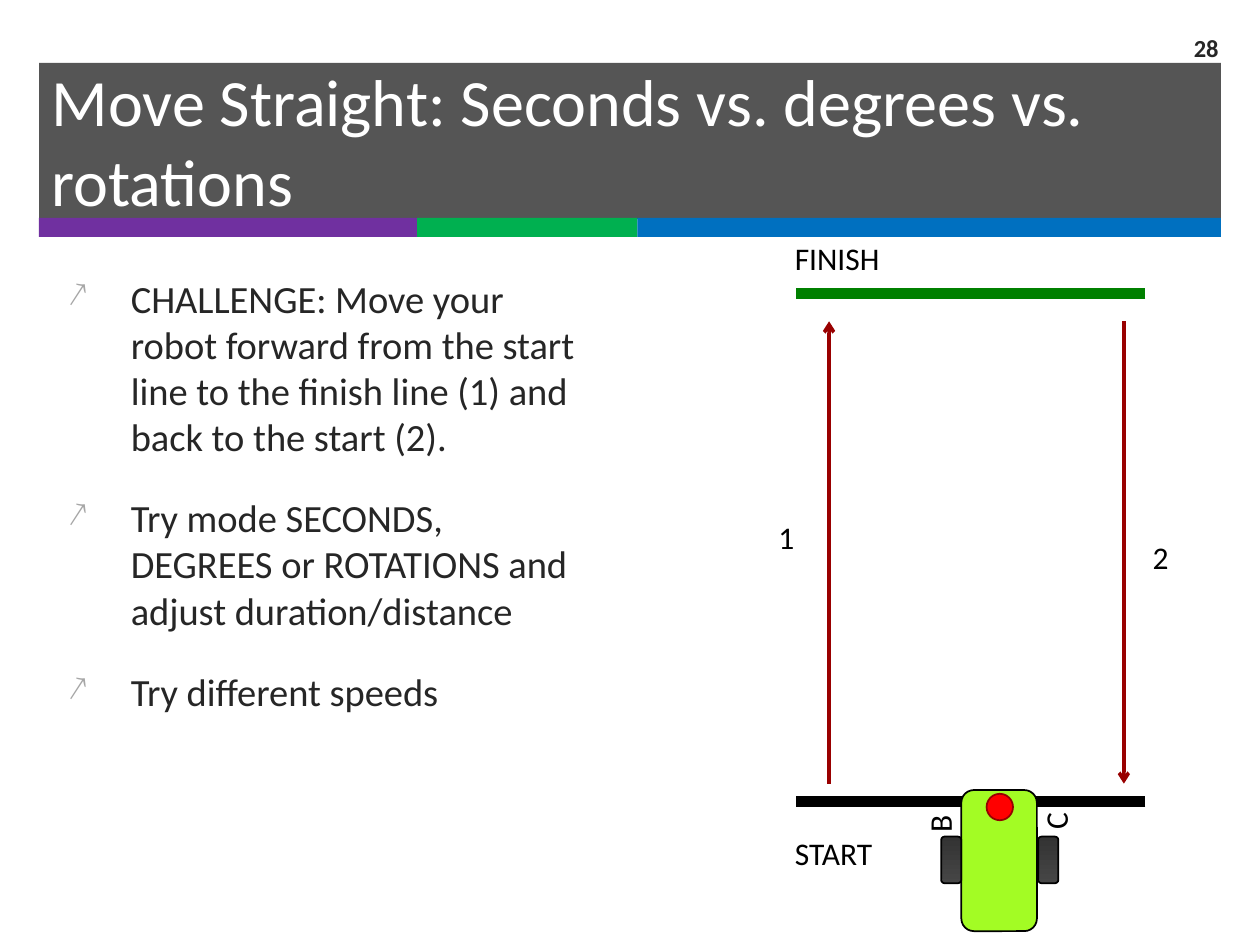
from dataclasses import dataclass

from lxml.etree import SubElement
from pptx import Presentation
from pptx.dml.color import RGBColor
from pptx.enum.shapes import MSO_CONNECTOR, MSO_SHAPE
from pptx.enum.text import MSO_ANCHOR, MSO_AUTO_SIZE, PP_ALIGN
from pptx.oxml.ns import qn
from pptx.util import Inches, Pt


@dataclass(frozen=True)
class Theme:
    """Colours, font and type sizes of the slide."""
    font: str = "Calibri"
    head: float = 37.8
    body: float = 22
    label: float = 18
    small: float = 14
    white: str = "FFFFFF"
    black: str = "000000"
    ink: str = "262626"
    mark: str = "A6A6A6"
    band: str = "0D0D0D"
    purple: str = "7030A0"
    green: str = "00B050"
    blue: str = "0070C0"
    goal: str = "008000"
    route: str = "990000"
    robot: str = "A3FC24"
    red: str = "FF0000"
    rim: str = "960000"
    tyre: tuple = ("464646", "333333")


def rgb(code):
    """Turn a hex code into a colour."""
    return RGBColor.from_string(code)


def write(par, text, font="Calibri", size=18, color="000000", bold=False,
          align=PP_ALIGN.LEFT, before=0):
    """Set the text of a paragraph and its format."""
    par.text = text
    par.alignment = align
    par.space_before = Pt(before)
    par.font.name = font
    par.font.size = Pt(size)
    par.font.bold = bold
    par.font.color.rgb = rgb(color)


class Deck:
    """Holds the theme and the current slide."""

    def __init__(self, slide, theme):
        """Keep the slide and its style."""
        self.slide = slide
        self.theme = theme

    def title(self, text, box):
        """Place the title above all that is drawn so far."""
        shape = self.slide.shapes.title
        shape.left, shape.top, shape.width, shape.height = map(Inches, box)
        shape.element.getparent().append(shape.element)
        frame = shape.text_frame
        frame.word_wrap = True
        frame.auto_size = MSO_AUTO_SIZE.NONE
        frame.vertical_anchor = MSO_ANCHOR.MIDDLE
        write(frame.paragraphs[0], text, font=self.theme.font,
              size=self.theme.head, color=self.theme.white)

    def shape(self, kind, box, fill, line=None, alpha=None):
        """Draw a preset shape; a pair of fills makes a gradient."""
        shape = self.slide.shapes.add_shape(kind, *map(Inches, box))
        shape.shadow.inherit = False
        if isinstance(fill, tuple):
            shape.fill.gradient()
            shape.fill.gradient_angle = 90
            for stop, code in zip(shape.fill.gradient_stops, fill):
                stop.color.rgb = rgb(code)
        else:
            shape.fill.solid()
            shape.fill.fore_color.rgb = rgb(fill)
        if alpha:
            tone = shape.element.spPr.find(".//" + qn("a:srgbClr"))
            SubElement(tone, qn("a:alpha"), val=str(alpha * 1000))
        if line:
            shape.line.color.rgb = rgb(line)
            shape.line.width = Pt(1)
        else:
            shape.line.fill.background()

    def line(self, start, end, color, width, arrow=False):
        """Draw a straight line, with an arrowhead if asked."""
        line = self.slide.shapes.add_connector(
            MSO_CONNECTOR.STRAIGHT, *map(Inches, start + end))
        line.line.color.rgb = rgb(color)
        line.line.width = Pt(width)
        if arrow:
            SubElement(line.line._get_or_add_ln(), qn("a:tailEnd"), type="arrow")
        SubElement(line.element.spPr, qn("a:effectLst"))

    def text(self, text, box, turn=0, anchor=MSO_ANCHOR.TOP, **style):
        """Add a text box of one paragraph."""
        shape = self.slide.shapes.add_textbox(*map(Inches, box))
        shape.rotation = turn
        frame = shape.text_frame
        frame.word_wrap = True
        frame.vertical_anchor = anchor
        write(frame.paragraphs[0], text, font=self.theme.font, **style)

    def bullets(self, items, box):
        """Add a text box with an arrow bullet for each item."""
        frame = self.slide.shapes.add_textbox(*map(Inches, box)).text_frame
        frame.word_wrap = True
        for i, item in enumerate(items):
            par = frame.add_paragraph() if i else frame.paragraphs[0]
            props = par._p.get_or_add_pPr()
            props.set("marL", str(Inches(0.5)))
            props.set("indent", str(-Inches(0.5)))
            tone = SubElement(props, qn("a:buClr"))
            SubElement(tone, qn("a:srgbClr"), val=self.theme.mark)
            SubElement(props, qn("a:buSzPct"), val="90000")
            SubElement(props, qn("a:buChar"), char="↗")
            write(par, item, font=self.theme.font, size=self.theme.body,
                  color=self.theme.ink, before=20 if i else 0)


def main():
    """Build the slide and save it."""
    show = Presentation()
    show.slide_width, show.slide_height = Inches(10), Inches(7.5)
    look = Theme()
    deck = Deck(show.slides.add_slide(show.slide_layouts[5]), look)

    deck.shape(MSO_SHAPE.RECTANGLE, (0.31, 0.5, 9.38, 1.24), look.band, alpha=70)
    left = 0.31
    for width, color in ((3, look.purple), (1.75, look.green), (4.63, look.blue)):
        deck.shape(MSO_SHAPE.RECTANGLE, (left, 1.73, width, 0.15), color)
        left += width
    deck.title("Move Straight: Seconds vs. degrees vs. rotations",
               (0.31, 0.58, 9.38, 1.06))
    deck.bullets((
        "CHALLENGE: Move your robot forward from the start line to the "
        "finish line (1) and back to the start (2).",
        "Try mode SECONDS, DEGREES or ROTATIONS and adjust duration/distance",
        "Try different speeds",
    ), (0.44, 2.13, 4.3, 4.57))

    for y, color in ((2.33, look.goal), (6.36, look.black)):
        deck.line((9.09, y), (6.32, y), color, 6)
    for x, start, end in ((6.58, 6.22, 2.55), (8.92, 2.55, 6.22)):
        deck.line((x, start), (x, end), look.route, 2, arrow=True)
    for text, box in (("1", (6.08, 4.06, 0.34, 0.4)),
                      ("2", (9.05, 4.22, 0.34, 0.4)),
                      ("FINISH", (6.21, 1.85, 1.03, 0.4)),
                      ("START", (6.21, 6.57, 1, 0.4))):
        deck.text(text, box, size=look.label, color=look.black)

    deck.shape(MSO_SHAPE.ROUNDED_RECTANGLE, (7.63, 6.27, 0.6, 1.12),
               look.robot, look.black)
    for x in (8.24, 7.47):
        deck.shape(MSO_SHAPE.ROUNDED_RECTANGLE, (x, 6.64, 0.16, 0.37),
                   look.tyre, look.black)
    deck.shape(MSO_SHAPE.OVAL, (7.83, 6.3, 0.21, 0.21), look.red, look.rim)
    for port, x, y in (("B", 7.18, 6.33), ("C", 8.1, 6.31)):
        deck.text(port, (x, y, 0.45, 0.3), turn=270, size=look.label,
                  color=look.black)

    deck.text("28", (9.08, 0.18, 0.69, 0.39), anchor=MSO_ANCHOR.MIDDLE,
              size=look.small, color=look.ink, bold=True, align=PP_ALIGN.RIGHT)
    show.save("out.pptx")


if __name__ == "__main__":
    main()
